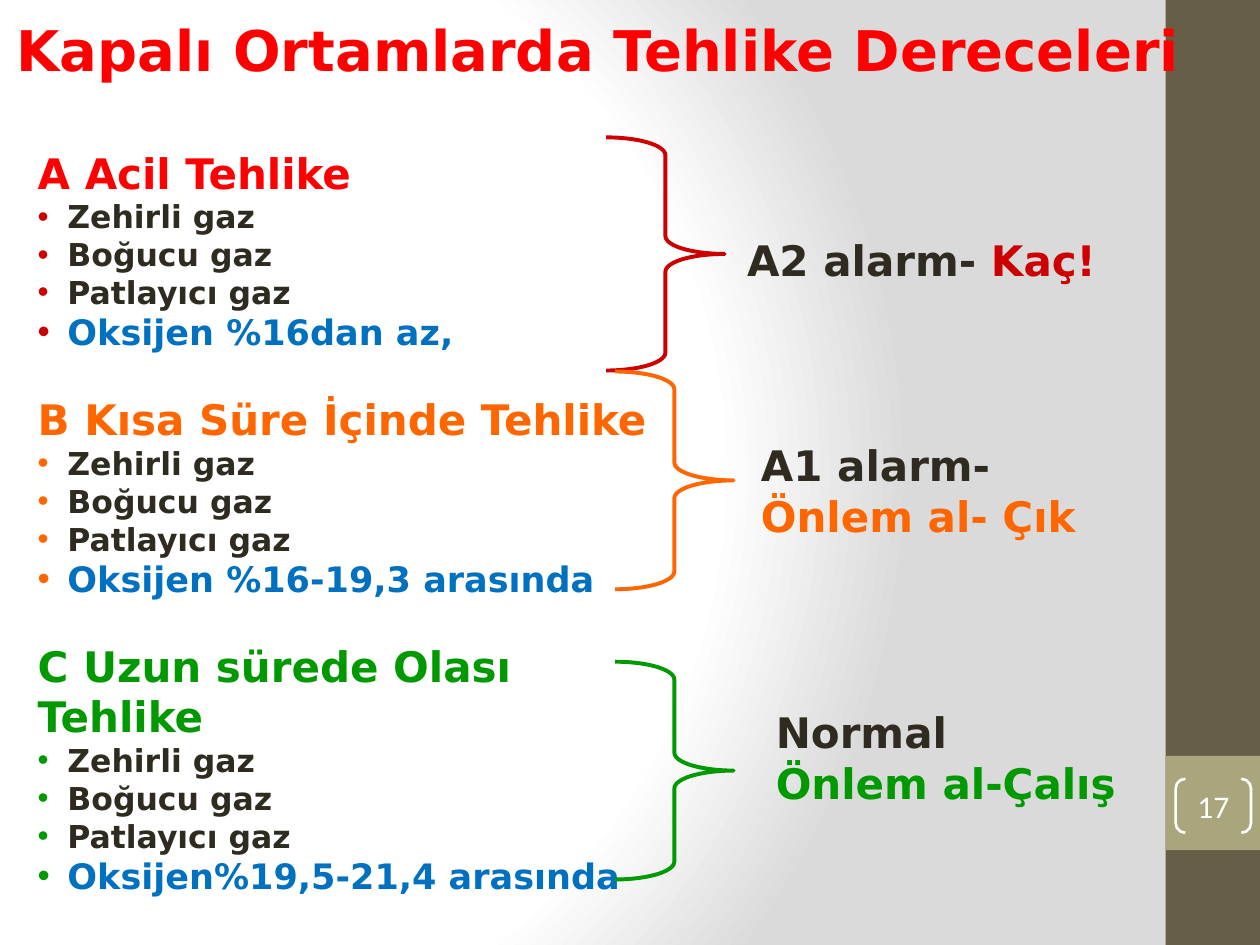
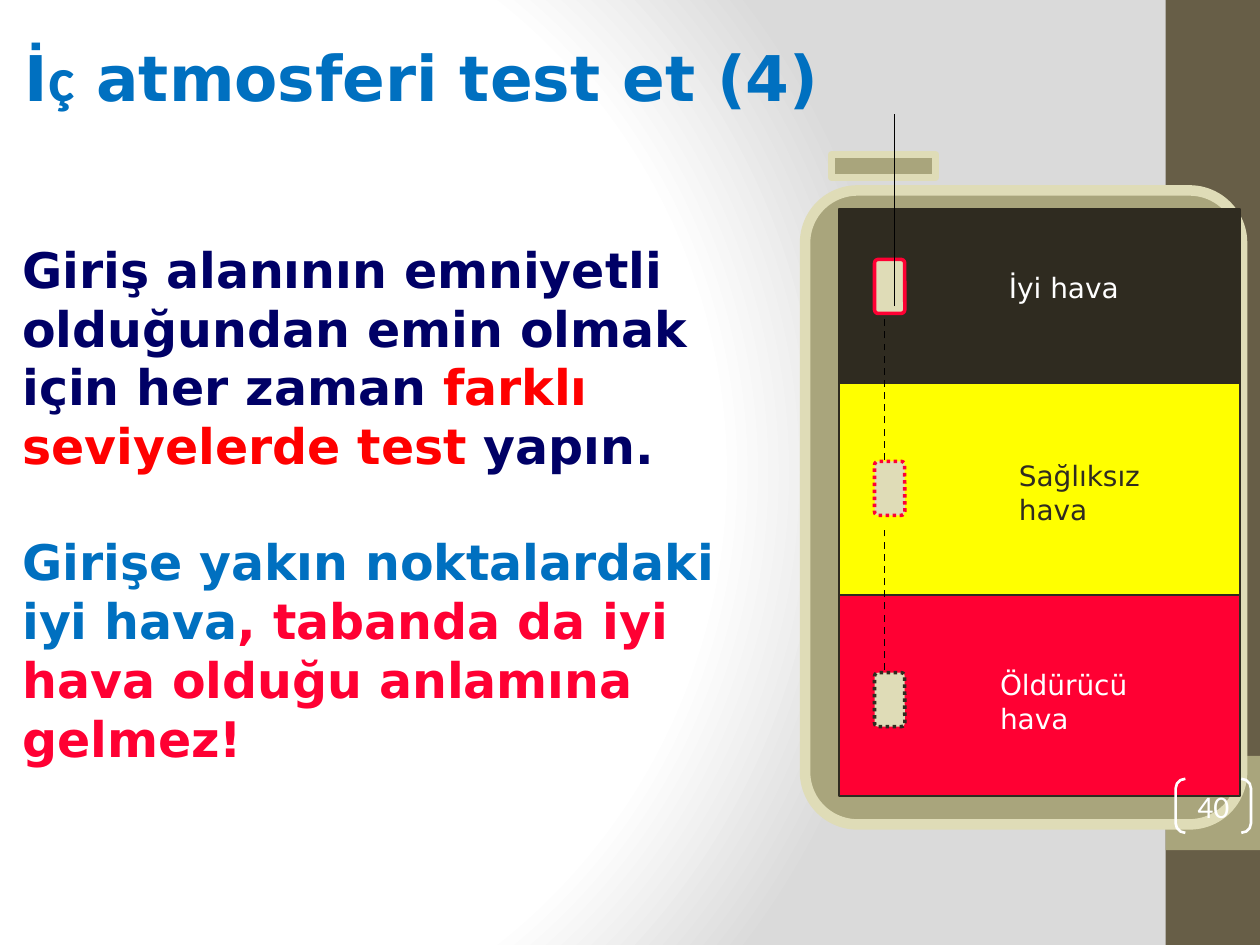
from pptx import Presentation
from pptx import util as u
from pptx.dml.color import RGBColor
from pptx.enum import dml, shapes, text
from pptx.oxml import parse_xml
from pptx.oxml.ns import nsdecls, qn
from lxml import etree

DARK, OLIVE, SAND, BROWN = "2F2B20", "A9A57C", "DFDCB7", "675E47"
WHITE, BLACK, YELLOW = "FFFFFF", "000000", "FFFF00"
RED, DEEP_RED, CRIMSON = "FF0000", "CC0000", "FF0033"
BLUE, NAVY, ORANGE, GREEN = "0070C0", "000066", "FF6600", "009900"
FONT, NUMBER_FONT = "DejaVu Sans", "Calibri"
SHAPE = shapes.MSO_SHAPE
DASH = dml.MSO_LINE


def colour(value):
    return RGBColor.from_string(value)


def cm(*lengths):
    return [u.Cm(length) for length in lengths]


def paint_background(master):
    master.background.fill.solid()
    properties = master.element.find(".//" + qn("p:bgPr"))
    stops = "".join(
        f'<a:gs pos="{position}000"><a:srgbClr val="{shade}"/></a:gs>'
        for position, shade in ((0, WHITE), (75, WHITE), (100, "DADADA")))
    glow = parse_xml(
        f'<a:gradFill {nsdecls("a")} rotWithShape="1"><a:gsLst>{stops}</a:gsLst>'
        '<a:path path="circle"><a:fillToRect l="20000" t="50000" '
        'r="100000" b="50000"/></a:path></a:gradFill>')
    properties.replace(properties[0], glow)


def style_line(line, ink, width, dash=None):
    line.color.rgb = colour(ink)
    line.width = u.Pt(width)
    if dash:
        line.dash_style = dash


def add_figure(target, kind, box, fill=None, line=None, adjust=None):
    figure = target.shapes.add_shape(kind, *cm(*box))
    figure.shadow.inherit = False
    if fill:
        figure.fill.solid()
        figure.fill.fore_color.rgb = colour(fill)
    else:
        figure.fill.background()
    if line:
        style_line(figure.line, *line)
    else:
        figure.line.fill.background()
    if adjust:
        figure.adjustments[0] = adjust
    return figure


def add_rope(target, x, start, end, dash=None):
    rope = target.shapes.add_connector(
        shapes.MSO_CONNECTOR.STRAIGHT, *cm(x, start, x, end))
    style_line(rope.line, BLACK, 1, dash)
    etree.SubElement(rope.element.spPr, qn("a:effectLst"))


def style_run(run, size, ink, bold=True, font=FONT):
    run.font.size = u.Pt(size)
    run.font.color.rgb = colour(ink)
    run.font.bold = bold
    run.font.name = font


def fill_paragraph(paragraph, parts, size, bold=True):
    for words, ink, *font in parts:
        run = paragraph.add_run()
        run.text = words
        style_run(run, size, ink, bold, *font)


def add_text(slide, box, paragraphs, size, bold=True, gap=0):
    frame = slide.shapes.add_textbox(*cm(*box)).text_frame
    frame.word_wrap = True
    for index, parts in enumerate(paragraphs):
        paragraph = frame.add_paragraph() if index else frame.paragraphs[0]
        paragraph.space_before = u.Pt(gap if index else 0)
        fill_paragraph(paragraph, parts, size, bold)
    return frame


def add_bullet(frame, words, size, ink, bullet_ink):
    paragraph = frame.add_paragraph()
    fill_paragraph(paragraph, [(words, ink)], size)
    properties = paragraph._p.get_or_add_pPr()
    properties.set("marL", str(u.Cm(0.6)))
    properties.set("indent", str(-u.Cm(0.6)))
    bullet_colour = etree.SubElement(properties, qn("a:buClr"))
    etree.SubElement(bullet_colour, qn("a:srgbClr"), val=bullet_ink)
    etree.SubElement(properties, qn("a:buFont"), typeface="Arial")
    etree.SubElement(properties, qn("a:buChar"), char="•")


def start_slide(deck):
    slide = deck.slides.add_slide(deck.slide_layouts[6])
    add_figure(slide, SHAPE.RECTANGLE, (23.5, 0, 1.9, 19.05), BROWN)
    add_figure(slide, SHAPE.RECTANGLE, (23.5, 15.24, 1.9, 1.9), OLIVE)
    return slide


def add_number(slide, number):
    bracket = add_figure(slide, SHAPE.DOUBLE_BRACKET, (23.7, 15.7, 1.52, 1.09),
                         line=(WHITE, 1.5), adjust=0.18)
    frame = bracket.text_frame
    frame.text = number
    frame.margin_left = frame.margin_right = 0
    frame.margin_top = frame.margin_bottom = 0
    frame.vertical_anchor = text.MSO_ANCHOR.MIDDLE
    frame.paragraphs[0].alignment = text.PP_ALIGN.CENTER
    style_run(frame.paragraphs[0].runs[0], 18, WHITE, False, NUMBER_FONT)


def build_danger_levels(deck):
    slide = start_slide(deck)
    levels = [
        ("A Acil Tehlike", RED, DEEP_RED, "Oksijen %16dan az,",
         (12.22, 2.77, 2.39, 4.7)),
        ("B Kısa Süre İçinde Tehlike", ORANGE, ORANGE, "Oksijen %16-19,3 arasında",
         (12.4, 7.49, 2.39, 4.39)),
        ("C Uzun sürede Olası Tehlike", GREEN, GREEN, "Oksijen%19,5-21,4 arasında",
         (12.4, 13.34, 2.39, 4.39)),
    ]
    frame = add_text(slide, (0.51, 2.84, 13.21, 15.54), [], 24)
    for index, (heading, ink, accent, oxygen, brace) in enumerate(levels):
        paragraph = frame.add_paragraph() if index else frame.paragraphs[0]
        paragraph.space_before = u.Pt(23.3 if index else 0)
        fill_paragraph(paragraph, [(heading, ink)], 24)
        for gas in ("Zehirli gaz", "Boğucu gaz", "Patlayıcı gaz"):
            add_bullet(frame, gas, 18, DARK, accent)
        add_bullet(frame, oxygen, 20, BLUE, accent)
        add_figure(slide, SHAPE.RIGHT_BRACE, brace, line=(accent, 2.25), adjust=0.15)

    add_text(slide, (0.08, 0.18, 24.64, 1.63),
             [[("Kapalı Ortamlarda Tehlike Dereceleri", RED)]], 32)
    add_text(slide, (14.81, 4.6, 8, 1.27),
             [[("A2 alarm- ", DARK), ("Kaç!", DEEP_RED)]], 24)
    add_text(slide, (15.09, 8.74, 8, 2.31),
             [[("A1 alarm- ", DARK), ("Önlem al- Çık", ORANGE)]], 24)
    add_text(slide, (15.39, 14.12, 7.39, 2.31),
             [[("Normal", DARK)], [("Önlem al-Çalış", GREEN)]], 24)
    add_number(slide, "17")


def draw_tank(slide):
    tank = slide.shapes.add_group_shape()
    add_figure(tank, SHAPE.ROUNDED_RECTANGLE, (16.23, 3.84, 8.81, 12.78),
               OLIVE, (SAND, 6), 0.12)
    for top, height, air in ((4.22, 11.79, DARK), (7.72, 8.1, YELLOW),
                             (11.99, 4.06, CRIMSON)):
        add_figure(tank, SHAPE.RECTANGLE, (16.92, top, 8.08, height), air, (DARK, 1))
    add_figure(tank, SHAPE.RECTANGLE, (16.76, 3.12, 2.11, 0.46), OLIVE, (SAND, 4))
    for top, ink, dash in ((5.23, CRIMSON, None), (9.3, CRIMSON, DASH.ROUND_DOT),
                           (13.56, DARK, DASH.ROUND_DOT)):
        detector = add_figure(tank, SHAPE.ROUNDED_RECTANGLE, (17.63, top, 0.61, 1.09),
                              SAND, (ink, 2), 0.12)
        if dash:
            detector.line.dash_style = dash
    add_rope(tank, 18.03, 6.17, 2.29)
    add_rope(tank, 17.83, 9.27, 6.35, DASH.DASH)
    add_rope(tank, 17.83, 13.51, 10.62, DASH.DASH)


def build_air_test(deck):
    slide = start_slide(deck)
    draw_tank(slide)
    add_text(slide, (0.2, 4.7, 15.9, 11.02), [
        [("Giriş alanının emniyetli olduğundan emin olmak için her zaman ", NAVY),
         ("farklı seviyelerde test ", RED), ("yapın.", NAVY)],
        [("Girişe yakın noktalardaki iyi hava", BLUE),
         (", tabanda da iyi hava olduğu anlamına gelmez!", CRIMSON)],
    ], 28, gap=32.6)
    for left, top, air, ink in ((19.91, 13.34, "Öldürücü hava", WHITE),
                                (20.29, 9.12, "Sağlıksız hava", DARK),
                                (20.09, 5.33, "İyi hava", WHITE)):
        add_text(slide, (left, top, 3.4, 1.63), [[(air, ink)]], 16, bold=False)
    add_number(slide, "40")
    add_text(slide, (0.25, 0.66, 17.53, 1.8),
             [[("İ", BLUE), ("ç", BLUE, NUMBER_FONT), (" atmosferi test et (4)", BLUE)]], 36)


def main():
    deck = Presentation()
    deck.slide_width, deck.slide_height = cm(25.4, 19.05)
    paint_background(deck.slide_master)
    build_danger_levels(deck)
    build_air_test(deck)
    deck.save("out.pptx")


if __name__ == "__main__":
    main()
